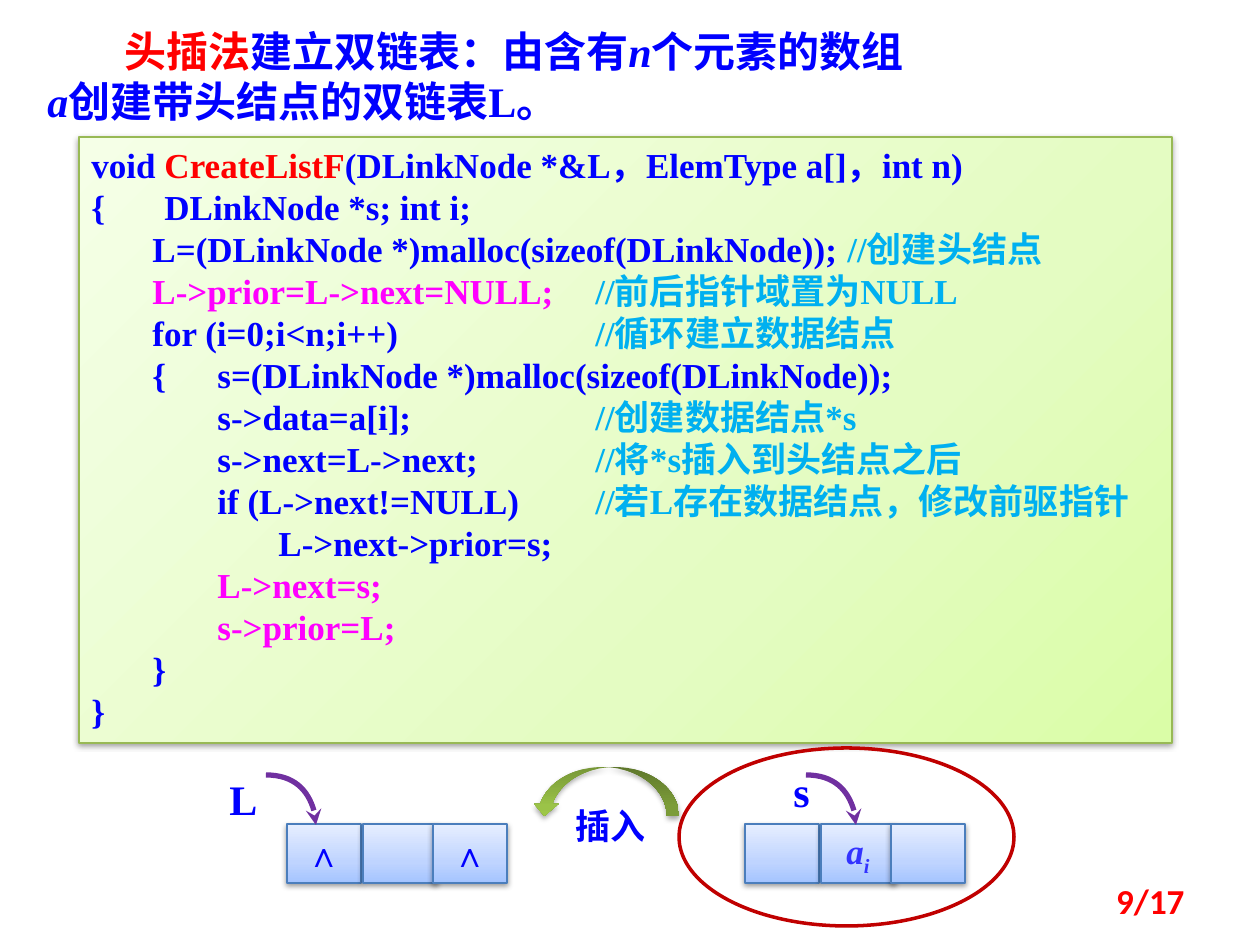
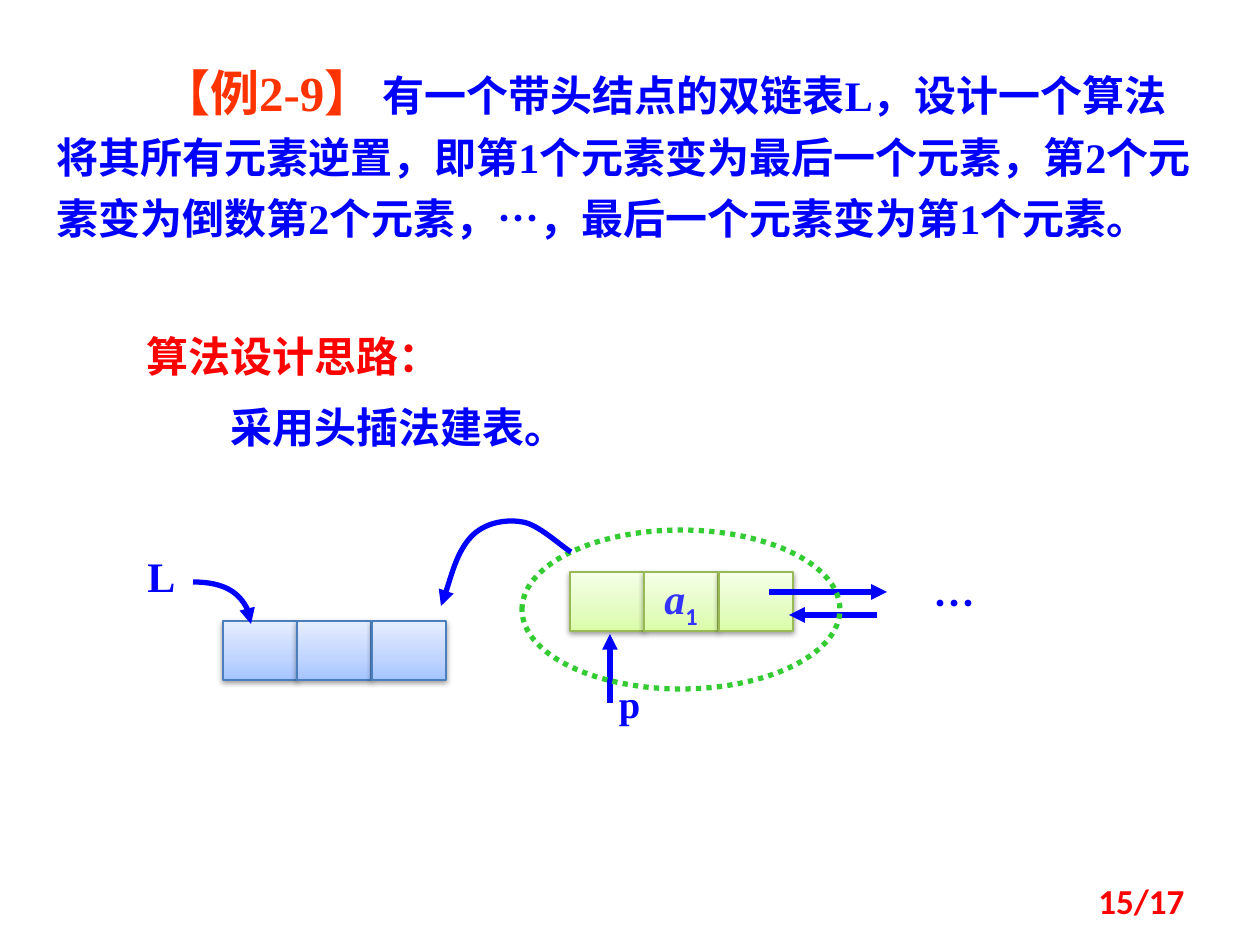
from pptx import Presentation
from pptx.dml.color import RGBColor
from pptx.enum.dml import MSO_LINE
from pptx.enum.shapes import MSO_CONNECTOR, MSO_SHAPE
from pptx.enum.text import MSO_ANCHOR, PP_ALIGN
from pptx.oxml import parse_xml
from pptx.oxml.ns import nsdecls, qn
from pptx.oxml.xmlchemy import OxmlElement
from pptx.util import Inches, Pt

SCALE = 914400 / 126
SERIF, SANS, NUMBER = "Times New Roman", "Noto Sans CJK SC", "Calibri"
COLORS = {
    "blue": "0000FF", "red": "FF0000", "magenta": "FF00FF", "sky": "00B0F0",
    "indigo": "3333FF", "orange": "FF3300", "purple": "7030A0",
    "crimson": "C00000", "green": "33CC33",
    "blue edge": "4B7EBC", "green edge": "98B955",
}
GRADIENTS = {
    "blue": ((0, "A4C4FF"), (35, "BFD4FF"), (100, "E6EEFF")),
    "green": ((0, "DAFDA7"), (35, "E4FCC2"), (100, "F5FFE7")),
    "olive": ((0, "779737"), (80, "9BC348"), (100, "9DC746")),
}
UPWARD = '<a:lin ang="16200000" scaled="0"/>'
FROM_CORNER = '<a:path path="circle"><a:fillToRect l="100000" t="100000"/></a:path>'
CODE_TABS = (61, 126, 187, 504, 756)


def px(length):
    return round(length * SCALE)


def color(name):
    return RGBColor.from_string(COLORS[name])


class Painter:
    """Holds the shared style and draws each kind of element on the current slide."""

    def __init__(self):
        self.deck = Presentation()
        self.deck.slide_width, self.deck.slide_height = Inches(10), Inches(7.5)

    def page(self, number):
        self.shapes = self.deck.slides.add_slide(self.deck.slide_layouts[6]).shapes
        box = self.text((903, 876, 294, 50), [[(number, "red", {"font": NUMBER})]],
                        size=20, align=PP_ALIGN.RIGHT)
        box.text_frame.vertical_anchor = MSO_ANCHOR.MIDDLE

    def typeset(self, frame, lines, size, align=PP_ALIGN.LEFT):
        for index, line in enumerate(lines):
            para = frame.add_paragraph() if index else frame.paragraphs[0]
            para.alignment = align
            for words, name, *options in line:
                style = options[0] if options else {}
                span = para.add_run()
                span.text = words
                font = span.font
                font.name = style.get("font", SERIF)
                font.size = Pt(style.get("size", size))
                font.bold = True
                font.italic = style.get("italic", False)
                font.color.rgb = color(name)
                properties = span._r.get_or_add_rPr()
                if "base" in style:
                    properties.set("baseline", str(style["base"] * 1000))
                east = OxmlElement("a:ea")
                east.set("typeface", SANS)
                properties.find(qn("a:latin")).addnext(east)

    def text(self, place, lines, size=24, align=PP_ALIGN.LEFT, inset=True):
        box = self.shapes.add_textbox(*map(px, place))
        frame = box.text_frame
        frame.word_wrap = True
        if not inset:
            frame.margin_left = frame.margin_right = 0
            frame.margin_top = frame.margin_bottom = 0
        self.typeset(frame, lines, size, align)
        return box

    def indent(self, para, length):
        para._p.get_or_add_pPr().set("indent", str(px(length)))

    def tabs(self, para, stops):
        tab_list = OxmlElement("a:tabLst")
        for stop in stops:
            tab = OxmlElement("a:tab")
            tab.set("pos", str(px(stop)))
            tab.set("algn", "l")
            tab_list.append(tab)
        para._p.get_or_add_pPr().append(tab_list)

    def glossy(self, kind, place, gradient, edge=None, direction=UPWARD, opacity=38):
        shape = self.shapes.add_shape(kind, *map(px, place))
        shape.fill.background()
        stops = "".join(
            f'<a:gs pos="{at * 1000}"><a:srgbClr val="{tone}"/></a:gs>'
            for at, tone in GRADIENTS[gradient])
        properties = shape._element.spPr
        properties.replace(properties.find(qn("a:noFill")), parse_xml(
            f'<a:gradFill {nsdecls("a")} rotWithShape="1"><a:gsLst>{stops}</a:gsLst>'
            f'{direction}</a:gradFill>'))
        if edge:
            shape.line.color.rgb = color(edge)
            shape.line.width = Pt(0.75)
        else:
            shape.line.fill.background()
        shape.shadow.inherit = False
        properties.find(qn("a:effectLst")).append(parse_xml(
            f'<a:outerShdw {nsdecls("a")} blurRad="40000" dist="20000" dir="5400000" '
            f'rotWithShape="0"><a:srgbClr val="000000"><a:alpha val="{opacity}000"/>'
            '</a:srgbClr></a:outerShdw>'))
        return shape

    def code(self, place, lines):
        box = self.glossy(MSO_SHAPE.RECTANGLE, place, "green", "green edge", FROM_CORNER)
        frame = box.text_frame
        frame.word_wrap = True
        frame.vertical_anchor = MSO_ANCHOR.TOP
        self.typeset(frame, lines, 20)
        for para in frame.paragraphs:
            self.tabs(para, (73,) if para.text.startswith("{") else CODE_TABS)

    def node(self, left, top, offsets, gradient, contents, size=20):
        for offset, spans in zip(offsets, contents):
            cell = self.glossy(MSO_SHAPE.RECTANGLE, (left + offset, top, 74, 59),
                               gradient, f"{gradient} edge")
            if spans:
                frame = cell.text_frame
                frame.word_wrap = False
                frame.vertical_anchor = MSO_ANCHOR.MIDDLE
                self.typeset(frame, [spans], size, PP_ALIGN.CENTER)

    def ring(self, place, name, width, dash=None):
        ring = self.shapes.add_shape(MSO_SHAPE.OVAL, *map(px, place))
        ring.fill.background()
        ring.line.color.rgb = color(name)
        ring.line.width = Pt(width)
        ring.line.dash_style = dash
        ring.shadow.inherit = False

    def point(self, line, name, head):
        line.color.rgb = color(name)
        line.width = Pt(3)
        tail = OxmlElement("a:tailEnd")
        tail.set("type", head)
        line._get_or_add_ln().append(tail)

    def arrow(self, start, end):
        arrow = self.shapes.add_connector(MSO_CONNECTOR.STRAIGHT, *map(px, start + end))
        self.point(arrow.line, "blue", "triangle")
        arrow._element.spPr.append(OxmlElement("a:effectLst"))

    def curve(self, points, name="blue", head="triangle"):
        builder = self.shapes.build_freeform(*points[0], scale=SCALE)
        builder.add_line_segments(points[1:], close=False)
        shape = builder.convert_to_shape()
        shape.fill.background()
        shape.shadow.inherit = False
        segments = shape._element.xpath(".//a:lnTo")
        for first in range(0, len(segments), 3):
            bezier = OxmlElement("a:cubicBezTo")
            segments[first].addprevious(bezier)
            for segment in segments[first:first + 3]:
                bezier.append(segment[0])
                segment.getparent().remove(segment)
        self.point(shape.line, name, head)

    def hook(self, left, top):
        self.curve([(left, top), (left + 28, top), (left + 50, top + 22),
                    (left + 50, top + 50)], "purple", "stealth")


def head_insertion(painter):
    """Draws the slide with the head insertion code."""
    painter.page("9/17")
    painter.code((79, 137, 1093, 606), [
        [("void ", "blue"), ("CreateListF", "red"),
         ("(DLinkNode *&L，ElemType a[]，int n)", "blue")],
        [("{\tDLinkNode *s; int i;", "blue")],
        [("\tL=(DLinkNode *)malloc(sizeof(DLinkNode));\t", "blue"), ("//创建头结点", "sky")],
        [("\tL->prior=L->next=NULL;\t", "magenta"), ("//前后指针域置为NULL", "sky")],
        [("\tfor (i=0;i<n;i++)\t", "blue"), ("//循环建立数据结点", "sky")],
        [("\t{\ts=(DLinkNode *)malloc(sizeof(DLinkNode));", "blue")],
        [("\t\ts->data=a[i];\t", "blue"), ("//创建数据结点*s", "sky")],
        [("\t\ts->next=L->next;\t", "blue"), ("//将*s插入到头结点之后", "sky")],
        [("\t\tif (L->next!=NULL)\t", "blue"), ("//若L存在数据结点，修改前驱指针", "sky")],
        [("\t\t\tL->next->prior=s;", "blue")],
        [("\t\tL->next=s;", "magenta")],
        [("\t\ts->prior=L;", "magenta")],
        [("\t}", "blue")],
        [("}", "blue")],
    ])
    title = painter.text((35, 19, 1162, 115), [
        [("头插法", "red"), ("建立双链表：由含有", "blue"),
         ("n", "blue", {"italic": True}), ("个元素的数组", "blue")],
        [("a", "blue", {"italic": True}), ("创建带头结点的双链表L。", "blue")],
    ])
    painter.indent(title.text_frame.paragraphs[0], 77)
    offsets = (0, 76, 146)
    null = [("∧", "blue")]
    element = [("a", "indigo", {"italic": True}),
               ("i", "indigo", {"italic": True, "base": -25})]
    painter.node(287, 824, offsets, "blue", (null, None, null))
    painter.hook(266, 775)
    painter.text((217, 767, 59, 63), [[("L", "blue")]])
    painter.node(745, 824, offsets, "blue", (None, element, None))
    painter.hook(806, 775)
    painter.text((781, 759, 59, 63), [[("s", "blue")]])
    painter.ring((679, 748, 335, 178), "crimson", 2)
    arrow = painter.glossy(MSO_SHAPE.CURVED_UP_ARROW, (532, 767, 147, 49), "olive", opacity=35)
    arrow.rotation = 180
    painter.text((542, 798, 137, 55), [[("插入", "blue", {"font": SANS})]],
                 size=20, align=PP_ALIGN.CENTER)


def reversal(painter):
    """Draws the slide with the list reversal example."""
    painter.page("15/17")
    problem = painter.text((44, 45, 1160, 207), [[
        ("【例2-9】", "orange", {"size": 28}),
        (" 有一个带头结点的双链表L，设计一个算法将其所有元素逆置，即第1个元素变为最后一个元素，"
         "第2个元素变为倒数第2个元素，", "blue"),
        ("…", "blue", {"font": SANS}),
        ("，最后一个元素变为第1个元素。", "blue"),
    ]]).text_frame.paragraphs[0]
    problem.line_spacing = 1.2
    painter.indent(problem, 105)
    idea = painter.text((134, 324, 496, 140), [
        [("算法设计思路：", "red", {"font": SANS})],
        [("采用头插法建表。", "blue", {"font": SANS})],
    ]).text_frame.paragraphs[1]
    idea.space_before = Pt(12)
    painter.indent(idea, 84)
    offsets = (0, 74, 149)
    element = [("a", "indigo", {"italic": True}),
               ("1", "indigo", {"font": NUMBER, "base": -25})]
    painter.node(223, 621, offsets, "blue", (None, None, None))
    painter.node(570, 572, offsets, "green", (None, element, None), size=24)
    painter.curve([(193, 582), (226, 582), (251, 601), (251, 624)])
    for place, words, style in (
            ((122, 551, 79, 50), "L", {}),
            ((590, 680, 79, 47), "p", {"size": 22}),
            ((896, 578, 118, 50), "…", {"font": SANS})):
        painter.text(place, [[(words, "blue", style)]], align=PP_ALIGN.CENTER, inset=False)
    painter.arrow((610, 703), (610, 634))
    painter.arrow((769, 592), (887, 592))
    painter.arrow((877, 615), (789, 615))
    painter.ring((522, 530, 318, 159), "green", 3, MSO_LINE.ROUND_DOT)
    painter.curve([(571, 552), (562, 547), (538, 524), (522, 522), (505, 519),
                   (484, 523), (471, 537), (457, 552), (447, 591), (441, 606)])


painter = Painter()
head_insertion(painter)
reversal(painter)
painter.deck.save("out.pptx")
